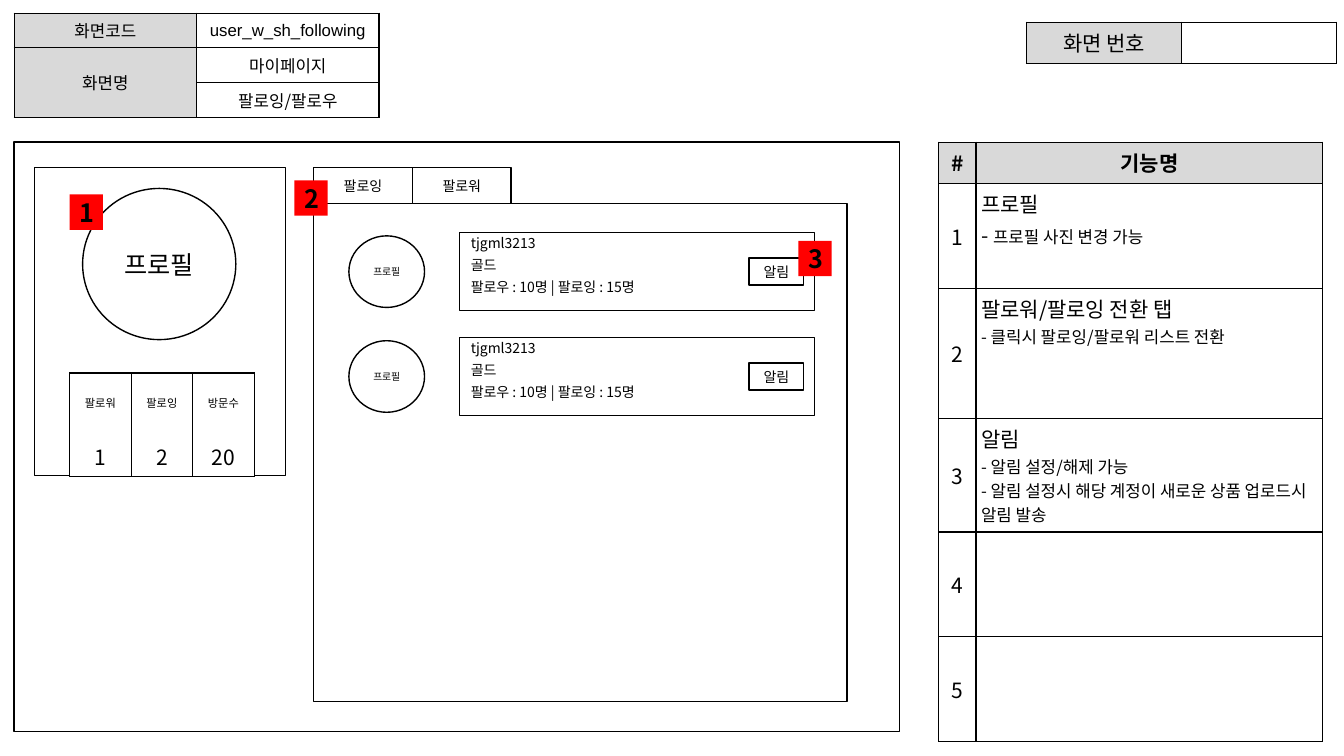
import pptx
import pptx.dml.color
import pptx.enum.shapes
import pptx.enum.text
import pptx.oxml
import pptx.oxml.ns
import pptx.util
from lxml import etree

BLACK = pptx.dml.color.RGBColor(0x00, 0x00, 0x00)
WHITE = pptx.dml.color.RGBColor(0xFF, 0xFF, 0xFF)
GRAY = pptx.dml.color.RGBColor(0xD9, 0xD9, 0xD9)
RED = pptx.dml.color.RGBColor(0xFF, 0x00, 0x00)
RECT = pptx.enum.shapes.MSO_SHAPE.RECTANGLE
OVAL = pptx.enum.shapes.MSO_SHAPE.OVAL
CENTER = pptx.enum.text.PP_ALIGN.CENTER
LEFT = pptx.enum.text.PP_ALIGN.LEFT
MIDDLE = pptx.enum.text.MSO_ANCHOR.MIDDLE
TOP = pptx.enum.text.MSO_ANCHOR.TOP
TIGHT = (0.05, 0.05, 0.05, 0.05)


class Wireframe:
    """Draws wireframe elements on one slide, with lengths in percent of its size."""

    def __init__(self, prs, font="Noto Sans CJK KR"):
        self.prs = prs
        self.font = font
        self.slide = prs.slides.add_slide(prs.slide_layouts[6])

    def x(self, share):
        return round(self.prs.slide_width * share / 100)

    def y(self, share):
        return round(self.prs.slide_height * share / 100)

    def box(self, left, top, width, height):
        return self.x(left), self.y(top), self.x(width), self.y(height)

    def margins(self, target, insets):
        sides = ("margin_left", "margin_top", "margin_right", "margin_bottom")
        for side, inset in zip(sides, insets):
            setattr(target, side, pptx.util.Inches(inset))

    def text(self, tf, lines, size, bold=False, align=CENTER, spacing=None, before=0, font=None):
        for i, line in enumerate(lines):
            p = tf.add_paragraph() if i else tf.paragraphs[0]
            p.alignment = align
            if spacing:
                p.line_spacing = spacing
            if i and before:
                p.space_before = pptx.util.Pt(before)
            for part in [line] if isinstance(line, str) else line:
                words, points = (part, size) if isinstance(part, str) else part
                r = p.add_run()
                r.text = words
                r.font.size = pptx.util.Pt(points)
                r.font.bold = bold
                r.font.color.rgb = BLACK
                r.font.name = font or self.font
                ea = etree.SubElement(r.font._element, pptx.oxml.ns.qn("a:ea"))
                ea.set("typeface", self.font)

    def shape(self, kind, box, lines=(), size=10, fill=WHITE, line=BLACK, insets=TIGHT,
              anchor=MIDDLE, **style):
        s = self.slide.shapes.add_shape(kind, *self.box(*box))
        s.shadow.inherit = False
        s.fill.solid()
        s.fill.fore_color.rgb = fill
        if line is None:
            s.line.fill.background()
        else:
            s.line.color.rgb = line
            s.line.width = pptx.util.Pt(1)
        tf = s.text_frame
        tf.word_wrap = True
        tf.vertical_anchor = anchor
        self.margins(tf, insets)
        self.text(tf, lines, size, **style)

    def table(self, left, top, cols, rows):
        box = self.box(left, top, sum(cols), sum(rows))
        tbl = self.slide.shapes.add_table(len(rows), len(cols), *box).table
        tbl.first_row = tbl.horz_banding = False
        for col, width in zip(tbl.columns, cols):
            col.width = self.x(width)
        for row, height in zip(tbl.rows, rows):
            row.height = self.y(height)
        for cell in tbl.iter_cells():
            self.paint(cell, WHITE)
            self.border(cell)
        return tbl

    def paint(self, cell, color):
        cell.fill.solid()
        cell.fill.fore_color.rgb = color

    def border(self, cell):
        tcPr = cell._tc.get_or_add_tcPr()
        for i, side in enumerate("LRTB"):
            tcPr.insert(i, pptx.oxml.parse_xml(
                f'<a:ln{side} {pptx.oxml.ns.nsdecls("a")} w="12700"><a:solidFill>'
                f'<a:srgbClr val="{BLACK}"/></a:solidFill></a:ln{side}>'))

    def cell(self, cell, lines, size, fill=WHITE, anchor=MIDDLE, insets=TIGHT, **style):
        self.paint(cell, fill)
        self.margins(cell, insets)
        cell.vertical_anchor = anchor
        self.text(cell.text_frame, lines, size, **style)

    def marker(self, number, left, top):
        self.shape(RECT, (left, top, 2.48, 4.67), [str(number)], 18, fill=RED, line=None,
                   insets=(0.1, 0.05, 0.1, 0.05), bold=True)

    def follow_card(self, top):
        self.shape(OVAL, (25.96, top + 0.4, 5.63, 9.47), ["프로필"], 7,
                   insets=(0.1, 0.05, 0.1, 0.05))
        self.shape(RECT, (34.21, top, 26.41, 10.27),
                   ["tjgml3213", "골드", "팔로우 : 10명 | 팔로잉 : 15명"], 10,
                   insets=(0.11, 0.02, 0.05, 0.02), anchor=TOP, align=LEFT, before=3.6)
        self.shape(RECT, (55.74, top + 3.33, 4.05, 3.6), ["알림"])


def main():
    prs = pptx.Presentation()
    prs.slide_width = pptx.util.Inches(13.33)
    prs.slide_height = pptx.util.Inches(7.5)
    w = Wireframe(prs)

    number = w.table(76.37, 2.93, [11.55] * 2, [5.47])
    w.cell(number.cell(0, 0), ["화면 번호"], 15, GRAY)

    functions = [
        ["프로필", ["- ", ("프로필 사진 변경 가능", 12)]],
        ["팔로워/팔로잉 전환 탭", [("- 클릭시 팔로잉/팔로워 리스트 전환", 12)]],
        ["알림", [("- 알림 설정/해제 가능", 12)],
         [("- 알림 설정시 해당 계정이 새로운 상품 업로드시 알림 발송", 12)]],
        [],
        [],
    ]
    spec_table = w.table(69.84, 18.8, [2.78, 25.81], [5.47, 13.87, 17.2] + [13.87] * 3)
    for col, heading in enumerate(["#", "기능명"]):
        w.cell(spec_table.cell(0, col), [heading], 15, GRAY, bold=True)
    for row, lines in enumerate(functions, 1):
        w.cell(spec_table.cell(row, 0), [str(row)], 15)
        w.cell(spec_table.cell(row, 1), lines, 15, anchor=TOP, align=LEFT)

    w.shape(RECT, (1.05, 18.8, 65.87, 78))

    header = w.table(1.05, 1.73, [13.58] * 2, [4.6] * 3)
    header.cell(1, 0).merge(header.cell(2, 0))
    for row, label in enumerate(["화면코드", "화면명"]):
        w.cell(header.cell(row, 0), [label], 12, GRAY)
    w.cell(header.cell(0, 1), ["user_w_sh_following"], 12, insets=(0.01,) * 4, font="Arial")
    for row, name in enumerate(["마이페이지", "팔로잉/팔로우"], 1):
        w.cell(header.cell(row, 1), [name], 12)

    w.shape(RECT, (23.33, 26.93, 39.68, 65.87))
    for i, tab in enumerate(["팔로잉", "팔로워"]):
        w.shape(RECT, (23.33 + 7.35 * i, 22.13, 7.35, 4.8), [tab])
    for i in range(2):
        w.follow_card(30.8 + 13.87 * i)

    w.shape(RECT, (2.55, 22.13, 18.68, 40.8))
    w.shape(OVAL, (6.15, 24.93, 11.4, 20), ["프로필"], 18)
    stats = w.table(5.18, 49.33, [4.58] * 3, [10.13])
    for col, (label, count) in enumerate([("팔로워", "1"), ("팔로잉", "2"), ("방문수", "20")]):
        w.cell(stats.cell(0, col), [[(label, 8)], count], 15, anchor=TOP,
               insets=(0.1, 0.05, 0.1, 0.05), spacing=2.0)

    for i, place in enumerate([(5.18, 25.73), (21.91, 23.87), (59.41, 31.87)], 1):
        w.marker(i, *place)
    prs.save("out.pptx")


if __name__ == "__main__":
    main()
